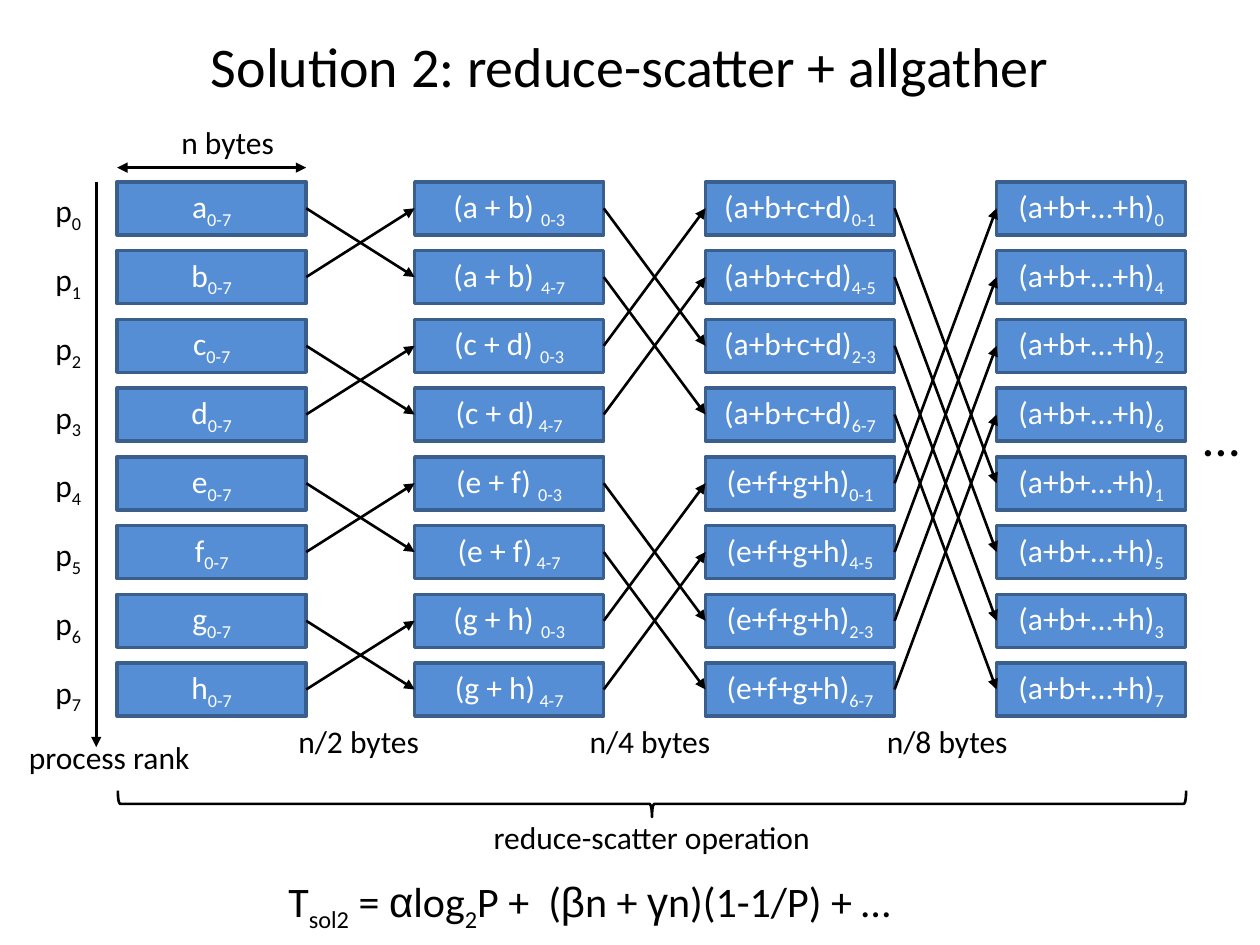
"""Build the slide on all-reduce by reduce-scatter and allgather."""
from itertools import groupby

from lxml import etree
from pptx import Presentation
from pptx.dml.color import RGBColor
from pptx.enum import shapes, text
from pptx.oxml.ns import qn
from pptx.util import Pt

COLORS = {"ink": "000000", "box": "558ED5", "edge": "3A5F8C", "light": "FFFFFF"}
TITLE = "Solution 2: reduce-scatter + allgather"
FORMULA = "T~sol2~ = αlog~2~P +  (βn + γn)(1-1/P) + …"
GREEK = "αβγ"

# Text between tildes is subscript.
STAGES = [
    (67, [f"{name}~0-7" for name in "abcdefgh"]),
    (237, ["(a + b) ~0-3", "(a + b) ~4-7", "(c + d) ~0-3", "(c + d)~ 4-7",
           "(e + f) ~0-3", "(e + f)~ 4-7", "(g + h) ~0-3", "(g + h)~ 4-7"]),
    (403.2, [f"({group})~{part}" for group in ("a+b+c+d", "e+f+g+h")
             for part in ("0-1", "4-5", "2-3", "6-7")]),
    (569.5, [f"(a+b+…+h)~{part}" for part in (0, 4, 2, 6, 1, 5, 3, 7)]),
]
LABELS = [
    ("process rank", 9.4, 418.3, 107, 29, 18),
    ("n bytes", 96.5, 67, 68.4, 29, 18),
    ("n/2 bytes", 163.4, 409, 84.2, 29, 18),
    ("n/4 bytes", 329.8, 409, 84.2, 29, 18),
    ("n/8 bytes", 499.7, 409, 84.2, 29, 18),
    ("reduce-scatter operation", 275, 463.7, 198, 29, 18),
    ("…", 680.4, 227.5, 35.3, 44, 30),
    (FORMULA, 157.7, 496.8, 372.2, 36, 24),
]
TOP, PITCH, BOX_W, BOX_H = 103.9, 39.28, 108, 30.3
RANK_X, RANK_Y = 24.5, 105.8

deck = Presentation()
deck.slide_width, deck.slide_height = Pt(720), Pt(540)
slide = deck.slides.add_slide(deck.slide_layouts[6])


def color(name):
    return RGBColor.from_string(COLORS[name])


def write(frame, content, size, ink="ink"):
    paragraph = frame.paragraphs[0]
    for index, part in enumerate(content.split("~")):
        for greek, letters in groupby(part, key=lambda letter: letter in GREEK):
            run = paragraph.add_run()
            run.text = "".join(letters)
            run.font.size = Pt(size)
            run.font.name = "Arial" if greek else "Calibri"
            run.font.color.rgb = color(ink)
            if index % 2:
                run.font._element.set("baseline", "-25000")
    return paragraph


def label(content, left, top, width, height, size):
    frame = slide.shapes.add_textbox(Pt(left), Pt(top), Pt(width), Pt(height)).text_frame
    frame.word_wrap = False
    frame.auto_size = text.MSO_AUTO_SIZE.SHAPE_TO_FIT_TEXT
    write(frame, content, size)


def arrow(x1=0, y1=0, x2=0, y2=0, ends=("tailEnd",)):
    connector = slide.shapes.add_connector(
        shapes.MSO_CONNECTOR.STRAIGHT, Pt(x1), Pt(y1), Pt(x2), Pt(y2))
    connector.line.color.rgb = color("ink")
    connector.line.width = Pt(1.5)
    properties = connector._element.spPr
    for end in ends:
        etree.SubElement(properties.find(qn("a:ln")), qn(f"a:{end}"), type="triangle")
    etree.SubElement(properties, qn("a:effectLst"))
    return connector


def box(content, left, top):
    shape = slide.shapes.add_shape(
        shapes.MSO_SHAPE.RECTANGLE, Pt(left), Pt(top), Pt(BOX_W), Pt(BOX_H))
    shape.shadow.inherit = False
    shape.fill.solid()
    shape.fill.fore_color.rgb = color("box")
    shape.line.color.rgb = color("edge")
    shape.line.width = Pt(2)
    frame = shape.text_frame
    frame.margin_left = frame.margin_right = frame.margin_top = frame.margin_bottom = 0
    frame.vertical_anchor = text.MSO_ANCHOR.MIDDLE
    write(frame, content, 18, "light").alignment = text.PP_ALIGN.CENTER
    return shape


title = slide.shapes.add_textbox(Pt(36), Pt(12.2), Pt(648), Pt(50.4)).text_frame
title.word_wrap = True
title.vertical_anchor = text.MSO_ANCHOR.MIDDLE
write(title, TITLE, 32).alignment = text.PP_ALIGN.CENTER

arrow(55, TOP, 55, 427)
for rank in range(8):
    label(f"p~{rank}", RANK_X, RANK_Y + rank * PITCH, 30.2, 29, 18)

stages = [[box(content, left, TOP + rank * PITCH) for rank, content in enumerate(contents)]
          for left, contents in STAGES]
for step, (senders, receivers) in enumerate(zip(stages, stages[1:])):
    for rank, sender in enumerate(senders):
        exchange = arrow()
        exchange.begin_connect(sender, 3)
        exchange.end_connect(receivers[rank ^ (1 << step)], 1)

arrow(67, 95.8, 67 + BOX_W, 95.8, ends=("headEnd", "tailEnd"))
brace = slide.shapes.add_shape(
    shapes.MSO_SHAPE.RIGHT_BRACE, Pt(365), Pt(154.1), Pt(15.1), Pt(610.5))
brace.rotation = 90
brace.shadow.inherit = False
brace.fill.background()
brace.line.color.rgb = color("ink")
brace.line.width = Pt(1.5)

for entry in LABELS:
    label(*entry)

deck.save("out.pptx")
